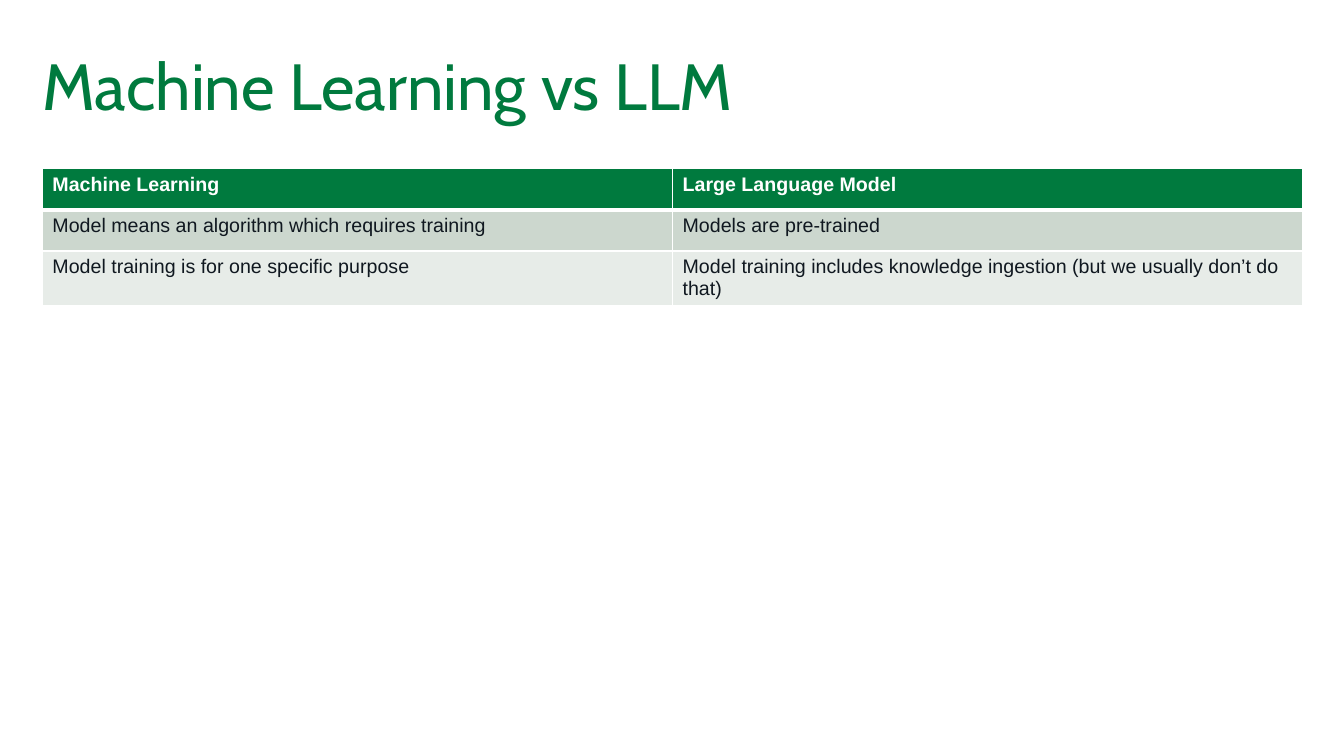
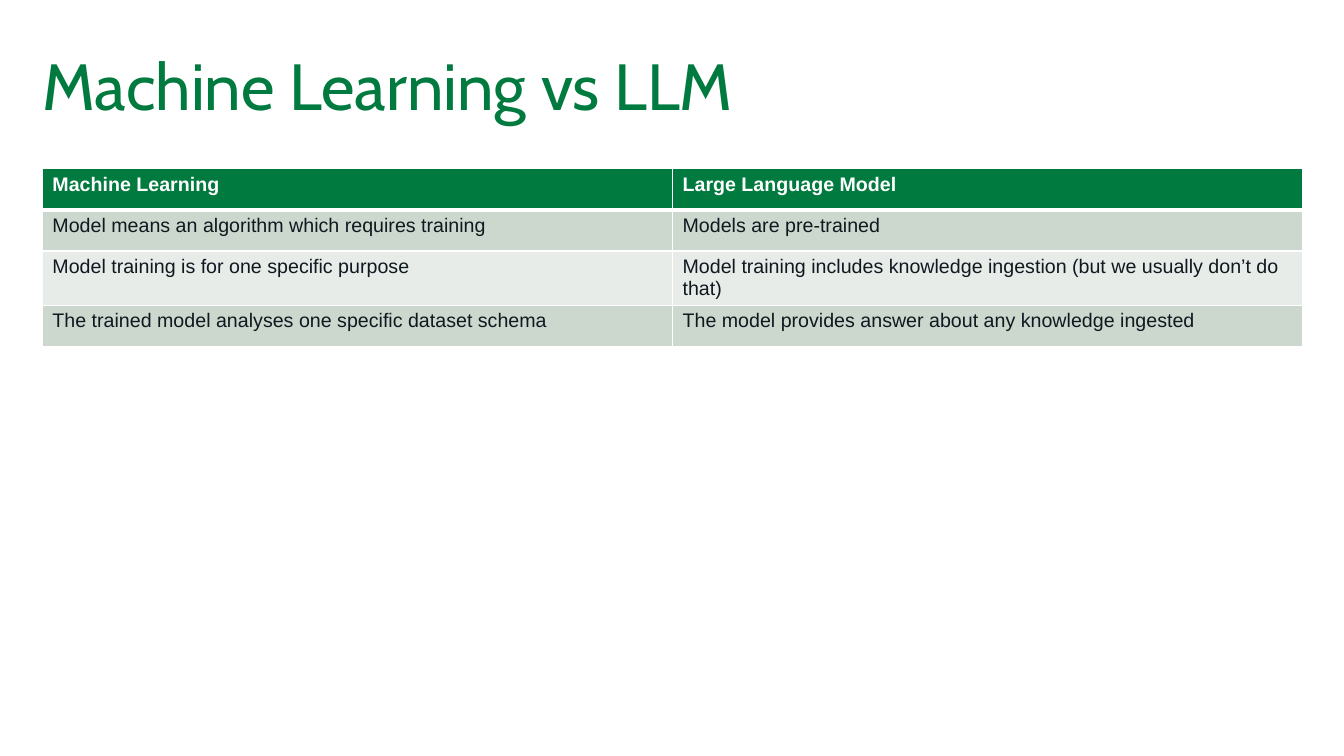
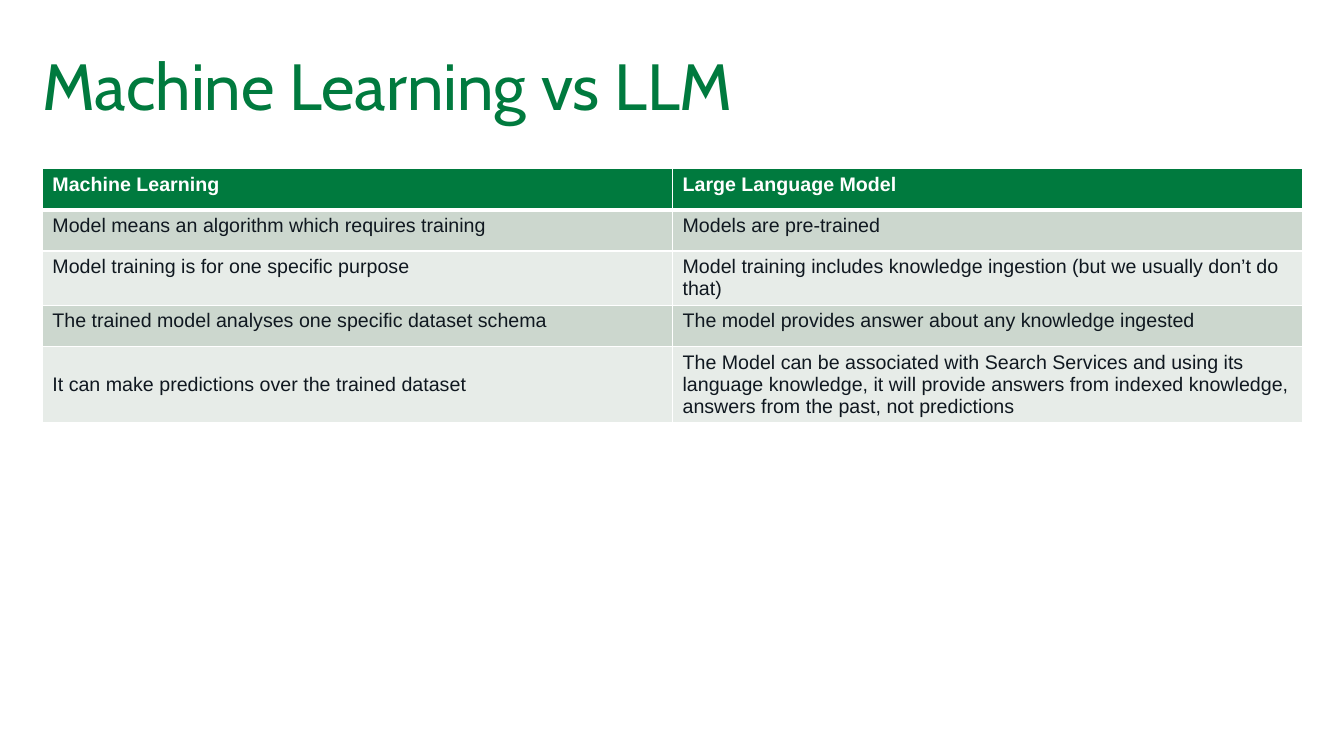
from lxml.etree import SubElement
from pptx import Presentation
from pptx.dml.color import RGBColor
from pptx.enum.text import MSO_ANCHOR, MSO_AUTO_SIZE, PP_ALIGN
from pptx.oxml.ns import qn
from pptx.util import Inches, Pt

TITLE = "Machine Learning vs LLM"
HEADER = ("Machine Learning", "Large Language Model")
COMPARISONS = [
    ("Model means an algorithm which requires training", "Models are pre-trained"),
    ("Model training is for one specific purpose",
     "Model training includes knowledge ingestion (but we usually don’t do that)"),
    ("The trained model analyses one specific dataset schema",
     "The model provides answer about any knowledge ingested"),
    ("It can make predictions over the trained dataset",
     "The Model can be associated with Search Services and using its language knowledge, "
     "it will provide answers from indexed knowledge, answers from the past, not predictions"),
]
SHOWN_COUNTS = (2, 3, 4)
CENTERED_CELLS = {(4, 0)}

COLORS = {
    "green": "007A3E",
    "ink": "101820",
    "white": "FFFFFF",
    "band_dark": "CCD7CE",
    "band_light": "E7ECE8",
}
LEFT, WIDTH = Inches(0.42), Inches(12.5)
TITLE_TOP, TITLE_HEIGHT = Inches(0.42), Inches(0.83)
TABLE_TOP, ROW_HEIGHT = Inches(1.67), Inches(0.41)
THIN, THICK = Pt(1), Pt(3)


def color(name):
    return RGBColor.from_string(COLORS[name])


def style_font(font, name, size, color_name, bold=False):
    font.name = name
    font.size = Pt(size)
    font.bold = bold
    font.color.rgb = color(color_name)


def add_title(page):
    title = page.shapes.title
    title.left, title.top, title.width, title.height = LEFT, TITLE_TOP, WIDTH, TITLE_HEIGHT
    frame = title.text_frame
    frame.text = TITLE
    frame.auto_size = MSO_AUTO_SIZE.NONE
    frame.vertical_anchor = MSO_ANCHOR.MIDDLE
    frame.margin_left = frame.margin_top = frame.margin_right = frame.margin_bottom = 0
    para = frame.paragraphs[0]
    para.alignment = PP_ALIGN.LEFT
    style_font(para.font, "Cabin", 46.6, "green")


def set_borders(cell, row):
    widths = {
        "lnL": THIN,
        "lnR": THIN,
        "lnT": THICK if row == 1 else THIN,
        "lnB": THICK if row == 0 else THIN,
    }
    properties = cell._tc.get_or_add_tcPr()
    for side, width in widths.items():
        line = SubElement(properties, qn(f"a:{side}"), w=str(width))
        fill = SubElement(line, qn("a:solidFill"))
        SubElement(fill, qn("a:srgbClr"), val=COLORS["white"])


def fill_cell(cell, text, row, column):
    is_header = row == 0
    set_borders(cell, row)
    cell.fill.solid()
    band = "band_dark" if row % 2 else "band_light"
    cell.fill.fore_color.rgb = color("green" if is_header else band)
    cell.text = text
    centered = (row, column) in CENTERED_CELLS
    cell.vertical_anchor = MSO_ANCHOR.MIDDLE if centered else MSO_ANCHOR.TOP
    font = cell.text_frame.paragraphs[0].font
    style_font(font, "Arial", 14, "white" if is_header else "ink", is_header)


def add_comparison(page, rows):
    table = page.shapes.add_table(
        len(rows), len(HEADER), LEFT, TABLE_TOP, WIDTH, ROW_HEIGHT * len(rows)
    ).table
    for row, texts in enumerate(rows):
        for column, text in enumerate(texts):
            fill_cell(table.cell(row, column), text, row, column)


def main():
    deck = Presentation()
    deck.slide_width, deck.slide_height = Inches(13.33), Inches(7.5)
    title_only = deck.slide_layouts.get_by_name("Title Only")
    for count in SHOWN_COUNTS:
        page = deck.slides.add_slide(title_only)
        add_title(page)
        add_comparison(page, [HEADER, *COMPARISONS[:count]])
    deck.save("out.pptx")


if __name__ == "__main__":
    main()
